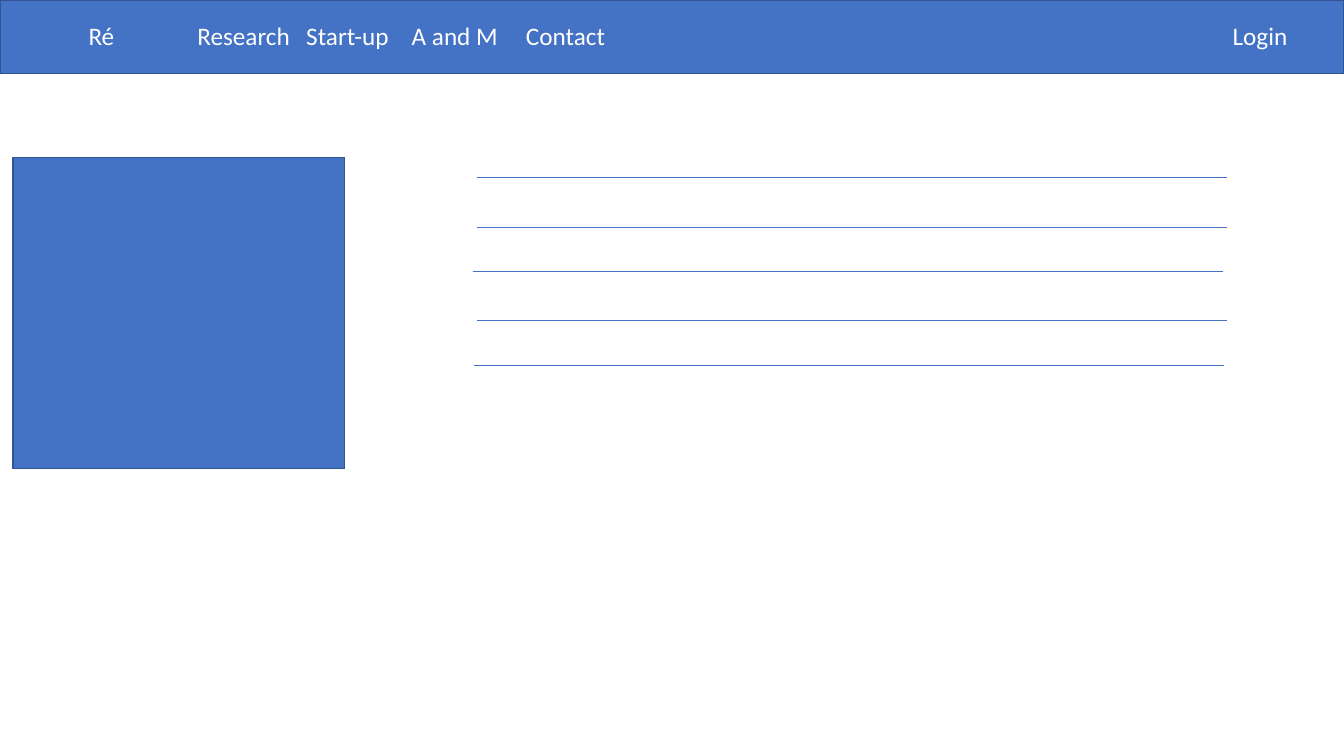
import dataclasses
import typing

import pptx
import pptx.dml.color
import pptx.enum.shapes
import pptx.enum.text
import pptx.oxml
import pptx.oxml.ns
import pptx.presentation
import pptx.shapes.base
import pptx.slide
import pptx.util
from lxml import etree

COLORS = {"blue": "4472C4", "outline": "325491", "white": "FFFFFF"}
SLIDE_WIDTH = pptx.util.Inches(13.33)
SLIDE_HEIGHT = pptx.util.Inches(7.5)
COLUMNS, ROWS = 40, 30
RULE_COLUMNS = 22.34
LABEL_ROW, LABEL_ROWS = 0.6, 1.6


@dataclasses.dataclass(frozen=True)
class Panel:
    column: float
    row: float
    columns: float
    rows: float


@dataclasses.dataclass(frozen=True)
class Rule:
    column: float
    row: float


@dataclasses.dataclass(frozen=True)
class Label:
    column: float
    columns: float
    entries: tuple[str, ...]
    tab_columns: tuple[float, ...] = ()


PANELS = (Panel(0, 0, COLUMNS, 2.92), Panel(0.39, 6.24, 9.87, 12.36))
RULES = (
    Rule(14.19, 7.04),
    Rule(14.19, 9.04),
    Rule(14.07, 10.76),
    Rule(14.19, 12.72),
    Rule(14.1, 14.48),
)
LABELS = (
    Label(2.34, 1.56, ("Ré",)),
    Label(5.58, 15.36, ("Research", "Start-up", "A and M", "Contact"), (3.24, 6.38, 9.78)),
    Label(36.39, 2.58, ("Login",)),
)
FRAME_FORMAT = {"word_wrap": True, "auto_size": pptx.enum.text.MSO_AUTO_SIZE.SHAPE_TO_FIT_TEXT}
FONT_FORMAT = {"name": "Calibri", "size": pptx.util.Pt(18)}


def across(columns: float) -> int:
    return round(SLIDE_WIDTH * columns / COLUMNS)


def down(rows: float) -> int:
    return round(SLIDE_HEIGHT * rows / ROWS)


def color(name: str) -> pptx.dml.color.RGBColor:
    return pptx.dml.color.RGBColor.from_string(COLORS[name])


def apply_format(target: typing.Any, values: dict[str, typing.Any]) -> None:
    for name, value in values.items():
        setattr(target, name, value)


def format_line(shape: pptx.shapes.base.BaseShape, name: str, points: float) -> None:
    shape.line.color.rgb = color(name)
    shape.line.width = pptx.util.Pt(points)


def draw_panel(slide: pptx.slide.Slide, panel: Panel) -> None:
    shape = slide.shapes.add_shape(
        pptx.enum.shapes.MSO_SHAPE.RECTANGLE,
        across(panel.column), down(panel.row), across(panel.columns), down(panel.rows),
    )
    shape.shadow.inherit = False
    shape.fill.solid()
    shape.fill.fore_color.rgb = color("blue")
    format_line(shape, "outline", 1)


def draw_rule(slide: pptx.slide.Slide, rule: Rule) -> None:
    connector = slide.shapes.add_connector(
        pptx.enum.shapes.MSO_CONNECTOR.STRAIGHT,
        across(rule.column), down(rule.row),
        across(rule.column + RULE_COLUMNS), down(rule.row),
    )
    format_line(connector, "blue", 0.5)
    properties = connector._element.spPr
    etree.SubElement(properties, pptx.oxml.ns.qn("a:effectLst"))


def draw_label(slide: pptx.slide.Slide, label: Label) -> None:
    box = slide.shapes.add_textbox(
        across(label.column), down(LABEL_ROW), across(label.columns), down(LABEL_ROWS)
    )
    apply_format(box.text_frame, FRAME_FORMAT)
    paragraph = box.text_frame.paragraphs[0]
    run = paragraph.add_run()
    run.text = "\t".join(label.entries)
    apply_format(run.font, FONT_FORMAT)
    run.font.color.rgb = color("white")
    if label.tab_columns:
        tabs = etree.SubElement(
            paragraph._p.get_or_add_pPr(), pptx.oxml.ns.qn("a:tabLst")
        )
        for columns in label.tab_columns:
            etree.SubElement(
                tabs, pptx.oxml.ns.qn("a:tab"), pos=str(across(columns)), algn="l"
            )


def main() -> None:
    presentation = pptx.Presentation()
    apply_format(presentation, {"slide_width": SLIDE_WIDTH, "slide_height": SLIDE_HEIGHT})
    slide = presentation.slides.add_slide(presentation.slide_layouts[6])
    for panel in PANELS:
        draw_panel(slide, panel)
    for rule in RULES:
        draw_rule(slide, rule)
    for label in LABELS:
        draw_label(slide, label)
    presentation.save("out.pptx")


if __name__ == "__main__":
    main()
